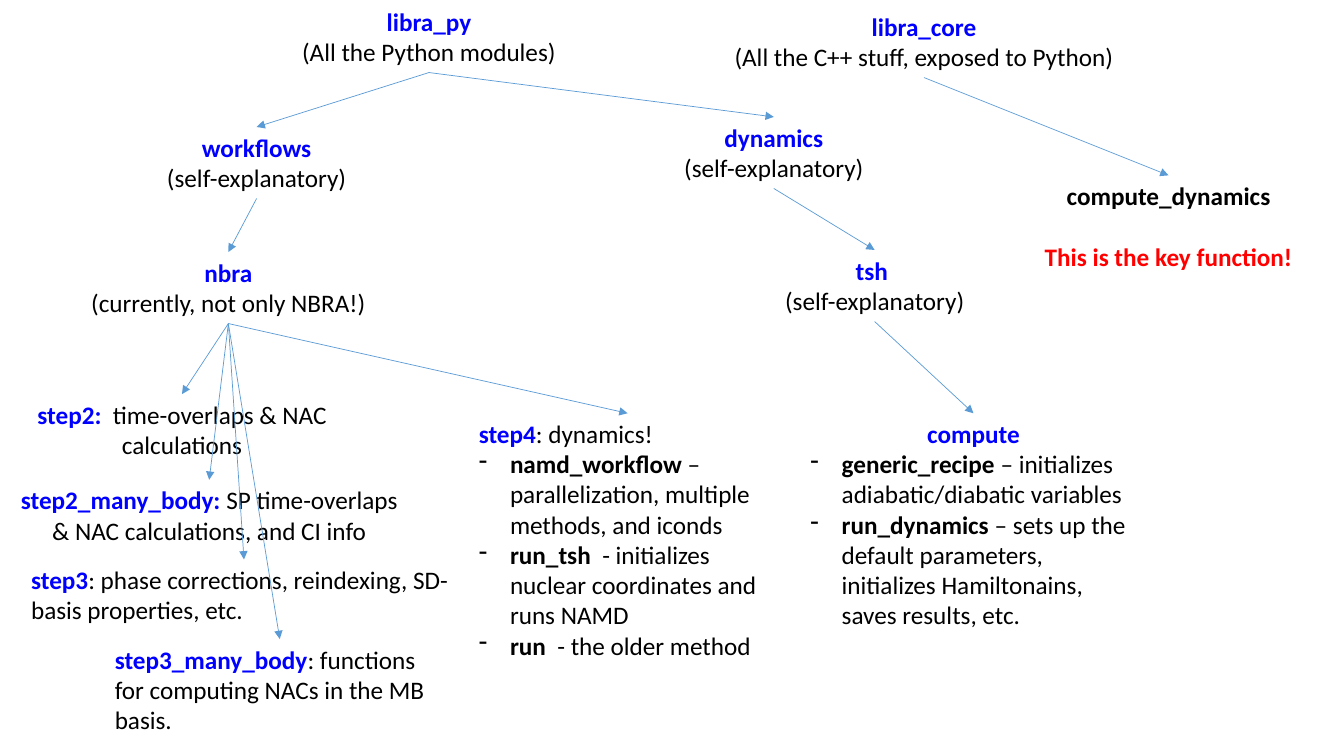
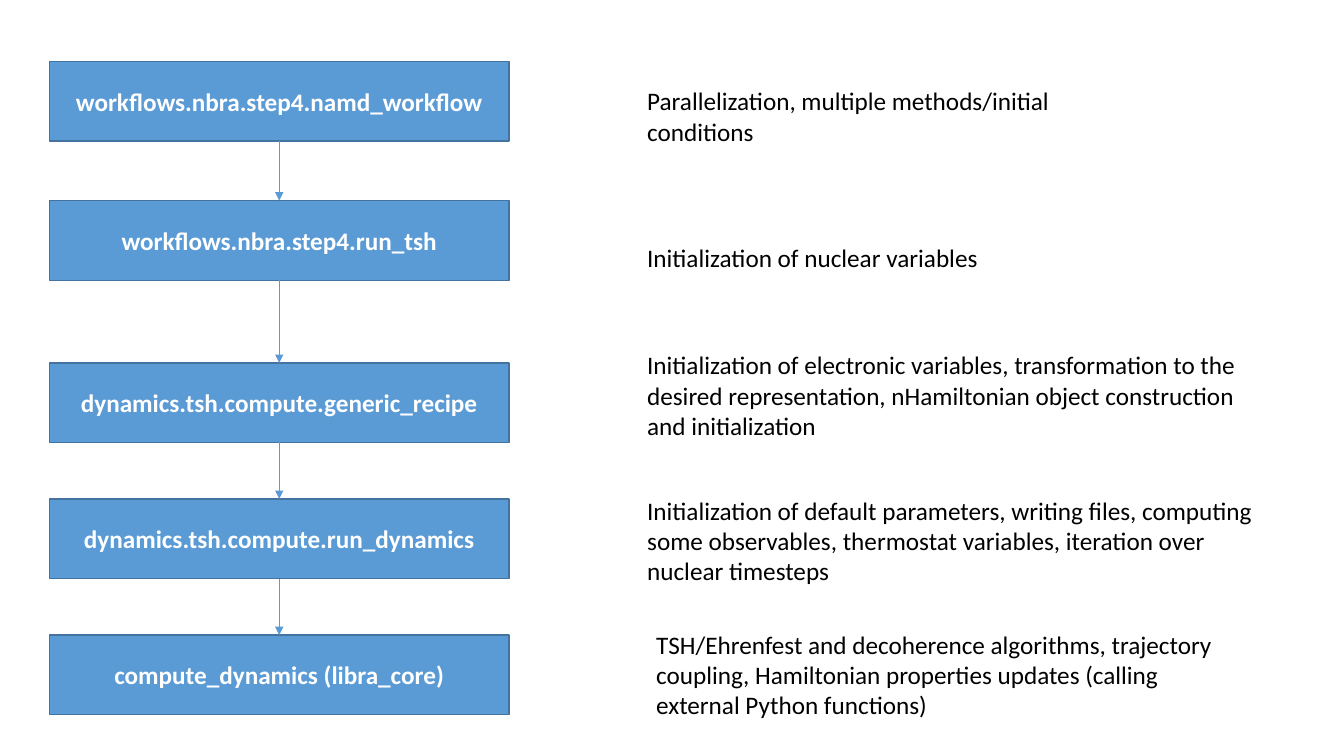
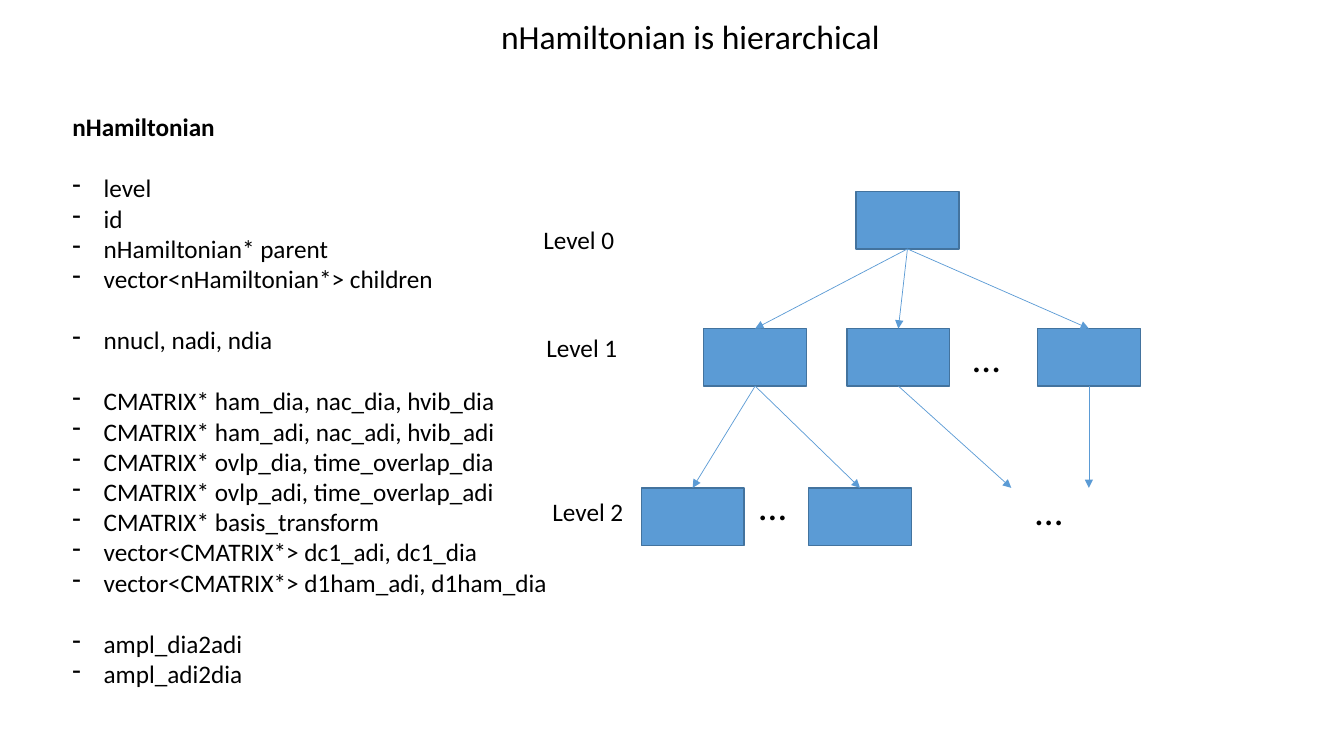
import dataclasses

import lxml.etree
import pptx
import pptx.dml.color
import pptx.enum.shapes
import pptx.enum.text
import pptx.oxml.ns
import pptx.util

PX = 9144  # EMU in one px, 100 px to the inch
ALIGN = pptx.enum.text.PP_ALIGN
qn = pptx.oxml.ns.qn


@dataclasses.dataclass(frozen=True)
class Theme:
    font: str = "Calibri"
    body: int = 18
    title: int = 24
    ellipsis: int = 28
    line_gap: int = 22
    indent: int = 31
    black: str = "000000"
    white: str = "FFFFFF"
    blue: str = "0000FF"
    red: str = "FF0000"
    box: str = "5B9BD5"
    box_edge: str = "43739E"


THEME = Theme()
# Run styles: colour and bold
PLAIN = (THEME.black, False)
STRONG = (THEME.black, True)
NAME = (THEME.blue, True)
ALERT = (THEME.red, True)
LABEL = (THEME.white, True)


@dataclasses.dataclass
class Paragraph:
    runs: list
    align: int = ALIGN.LEFT
    bullet: bool = False
    gap: int = 0


def add_text(slide, box, paragraphs, *, size=THEME.body, wrap=False, filled=False, title=False):
    """Write paragraphs into a text box, a filled rectangle or the slide's title."""
    left, top, width, height = [length * PX for length in box]
    if title:
        shape = slide.shapes.title
        shape.left, shape.top, shape.width, shape.height = left, top, width, height
    elif filled:
        shape = slide.shapes.add_shape(
            pptx.enum.shapes.MSO_SHAPE.RECTANGLE, left, top, width, height)
        shape.shadow.inherit = False
        shape.fill.solid()
        shape.fill.fore_color.rgb = pptx.dml.color.RGBColor.from_string(THEME.box)
        shape.line.color.rgb = pptx.dml.color.RGBColor.from_string(THEME.box_edge)
        shape.line.width = pptx.util.Pt(1)
    else:
        shape = slide.shapes.add_textbox(left, top, width, height)

    frame = shape.text_frame
    frame.word_wrap = wrap
    if filled:
        frame.vertical_anchor = pptx.enum.text.MSO_ANCHOR.MIDDLE
    else:
        frame.vertical_anchor = pptx.enum.text.MSO_ANCHOR.TOP
        frame.auto_size = pptx.enum.text.MSO_AUTO_SIZE.SHAPE_TO_FIT_TEXT
    for index, content in enumerate(paragraphs):
        paragraph = frame.add_paragraph() if index else frame.paragraphs[0]
        paragraph.alignment = content.align
        paragraph.space_before = pptx.util.Pt(content.gap)
        if content.bullet:
            properties = paragraph._p.get_or_add_pPr()
            properties.set("marL", str(THEME.indent * PX))
            properties.set("indent", str(-THEME.indent * PX))
            lxml.etree.SubElement(properties, qn("a:buChar"), char="-")
        for text, (color, bold) in content.runs:
            run = paragraph.add_run()
            run.text = text
            run.font.name = THEME.font
            run.font.size = pptx.util.Pt(size)
            run.font.bold = bold
            run.font.color.rgb = pptx.dml.color.RGBColor.from_string(color)
    return shape


def add_arrow(slide, start, end):
    """Lead from the bottom of a shape to the top of another, or to an (x, y) point."""
    to_point = isinstance(end, tuple)
    x, y = end if to_point else (0, 0)
    connector = slide.shapes.add_connector(
        pptx.enum.shapes.MSO_CONNECTOR.STRAIGHT, 0, 0, x * PX, y * PX)
    connector.begin_connect(start, 2)
    if not to_point:
        connector.end_connect(end, 0)
    connector.line.color.rgb = pptx.dml.color.RGBColor.from_string(THEME.box)
    connector.line.width = pptx.util.Pt(0.5)
    properties = connector.element.spPr
    lxml.etree.SubElement(properties.find(qn("a:ln")), qn("a:tailEnd"), type="triangle")
    lxml.etree.SubElement(properties, qn("a:effectLst"))


presentation = pptx.Presentation()
presentation.slide_width = 1333 * PX
presentation.slide_height = 750 * PX
title_only, blank = presentation.slide_layouts[5], presentation.slide_layouts[6]

# Slide 1: module tree
slide = presentation.slides.add_slide(blank)
nodes = {}
for name, note, box in [
    ("libra_py", "(All the Python modules)", (288, 1, 275, 71)),
    ("workflows", "(self-explanatory)", (154, 126, 201, 71)),
    ("nbra", "(currently, not only NBRA!)", (79, 250, 295, 71)),
    ("dynamics", "(self-explanatory)", (667, 116, 201, 71)),
    ("tsh ", "(self-explanatory)", (767, 248, 201, 71)),
    ("libra_core", "(All the C++ stuff, exposed to Python)", (716, 6, 401, 71)),
]:
    nodes[name.strip()] = add_text(slide, box, [
        Paragraph([(name, NAME)], ALIGN.CENTER),
        Paragraph([(note, PLAIN)], ALIGN.CENTER),
    ])

for key, name, note, align, box in [
    ("step2", "step2:  ", "time-overlaps & NAC calculations",
     ALIGN.CENTER, (3, 391, 355, 101)),
    ("step2_many_body", "step2_many_body: ",
     "SP time-overlaps & NAC calculations, and CI info", ALIGN.CENTER, (9, 476, 397, 71)),
    ("step3", "step3", ": phase corrections, reindexing, SD-basis properties, etc.",
     ALIGN.LEFT, (21, 555, 442, 71)),
    ("step3_many_body", "step3_many_body", ": functions for computing NACs in the MB basis.",
     ALIGN.LEFT, (104, 634, 347, 101)),
]:
    nodes[key] = add_text(
        slide, box, [Paragraph([(name, NAME), (note, PLAIN)], align)], wrap=True)

for key, heading, functions, box in [
    ("step4", Paragraph([("step4", NAME), (": dynamics!", PLAIN)]), [
        ("namd_workflow", " – parallelization, multiple methods, and iconds"),
        ("run_tsh", "  - initializes nuclear coordinates and runs NAMD"),
        ("run", "  - the older method"),
    ], (465, 410, 315, 252)),
    ("compute", Paragraph([("compute", NAME)], ALIGN.CENTER), [
        ("generic_recipe", " – initializes adiabatic/diabatic variables"),
        ("run_dynamics", " – sets up the default parameters, initializes Hamiltonains, "
                         "saves results, etc."),
    ], (794, 410, 343, 252)),
]:
    bullets = [Paragraph([(name, STRONG), (note, PLAIN)], bullet=True)
               for name, note in functions]
    nodes[key] = add_text(slide, box, [heading, *bullets], wrap=True)

nodes["compute_dynamics"] = add_text(slide, (1025, 174, 268, 101), [
    Paragraph([("compute_dynamics", STRONG)], ALIGN.CENTER),
    Paragraph([("This is the key function!", ALERT)], ALIGN.CENTER, gap=THEME.line_gap),
])

for parent, children in {
    "libra_py": ["workflows", "dynamics"],
    "workflows": ["nbra"],
    "nbra": ["step2", "step2_many_body", "step3", "step3_many_body", "step4"],
    "dynamics": ["tsh"],
    "tsh": ["compute"],
    "libra_core": ["compute_dynamics"],
}.items():
    for child in children:
        add_arrow(slide, nodes[parent], nodes[child])

# Slide 2: call sequence
slide = presentation.slides.add_slide(blank)
previous = None
for top, function, purpose, purpose_box in [
    (61, "workflows.nbra.step4.namd_workflow",
     "Parallelization, multiple methods/initial conditions", (632, 80, 469, 71)),
    (199, "workflows.nbra.step4.run_tsh",
     "Initialization of nuclear variables", (632, 236, 352, 40)),
    (360, "dynamics.tsh.compute.generic_recipe",
     "Initialization of electronic variables, transformation to the desired representation, "
     "nHamiltonian object construction and initialization", (632, 342, 638, 101)),
    (495, "dynamics.tsh.compute.run_dynamics",
     "Initialization of default parameters, writing files, computing some observables, "
     "thermostat variables, iteration over nuclear timesteps", (632, 486, 638, 101)),
    (630, "compute_dynamics (libra_core)",
     "TSH/Ehrenfest and decoherence algorithms, trajectory coupling, Hamiltonian properties "
     "updates (calling external Python functions)", (641, 619, 604, 101)),
]:
    step = add_text(slide, (49, top, 456, 79),
                    [Paragraph([(function, LABEL)], ALIGN.CENTER)], wrap=True, filled=True)
    add_text(slide, purpose_box, [Paragraph([(purpose, PLAIN)])], wrap=True)
    if previous:
        add_arrow(slide, previous, step)
    previous = step

# Slide 3: nHamiltonian hierarchy
slide = presentation.slides.add_slide(title_only)
add_text(slide, (487, 11, 399, 50),
         [Paragraph([("nHamiltonian is hierarchical", PLAIN)])], size=THEME.title, title=True)

members = [Paragraph([("nHamiltonian", STRONG)])]
for group in [
    ["level", "id", "nHamiltonian* parent", "vector<nHamiltonian*> children"],
    ["nnucl, nadi, ndia"],
    ["CMATRIX* ham_dia, nac_dia, hvib_dia", "CMATRIX* ham_adi, nac_adi, hvib_adi",
     "CMATRIX* ovlp_dia, time_overlap_dia", "CMATRIX* ovlp_adi, time_overlap_adi",
     "CMATRIX* basis_transform", "vector<CMATRIX*> dc1_adi, dc1_dia",
     "vector<CMATRIX*> d1ham_adi, d1ham_dia"],
    ["ampl_dia2adi", "ampl_adi2dia"],
]:
    for index, member in enumerate(group):
        members.append(Paragraph([(member, PLAIN)], bullet=True,
                                 gap=0 if index else THEME.line_gap))
add_text(slide, (62, 106, 496, 586), members)

levels = []
for number, (label_left, label_top, box_top, lefts) in enumerate([
    (529, 218, 190, [849]),
    (532, 325, 326, [698, 840, 1029]),
    (538, 487, 484, [636, 802]),
]):
    add_text(slide, (label_left, label_top, 92, 40),
             [Paragraph([(f"Level {number}", PLAIN)])])
    levels.append([add_text(slide, (left, box_top, 102, 57), [], filled=True)
                   for left in lefts])

for left, top in [(955, 326), (743, 473), (1017, 478)]:
    add_text(slide, (left, top, 47, 57), [Paragraph([("…", PLAIN)])], size=THEME.ellipsis)

(root,), (first, second, last), leaves = levels
for child in levels[1]:
    add_arrow(slide, root, child)
for leaf in leaves:
    add_arrow(slide, first, leaf)
add_arrow(slide, second, (1003, 484))
add_arrow(slide, last, (1080, 484))

presentation.save("out.pptx")
